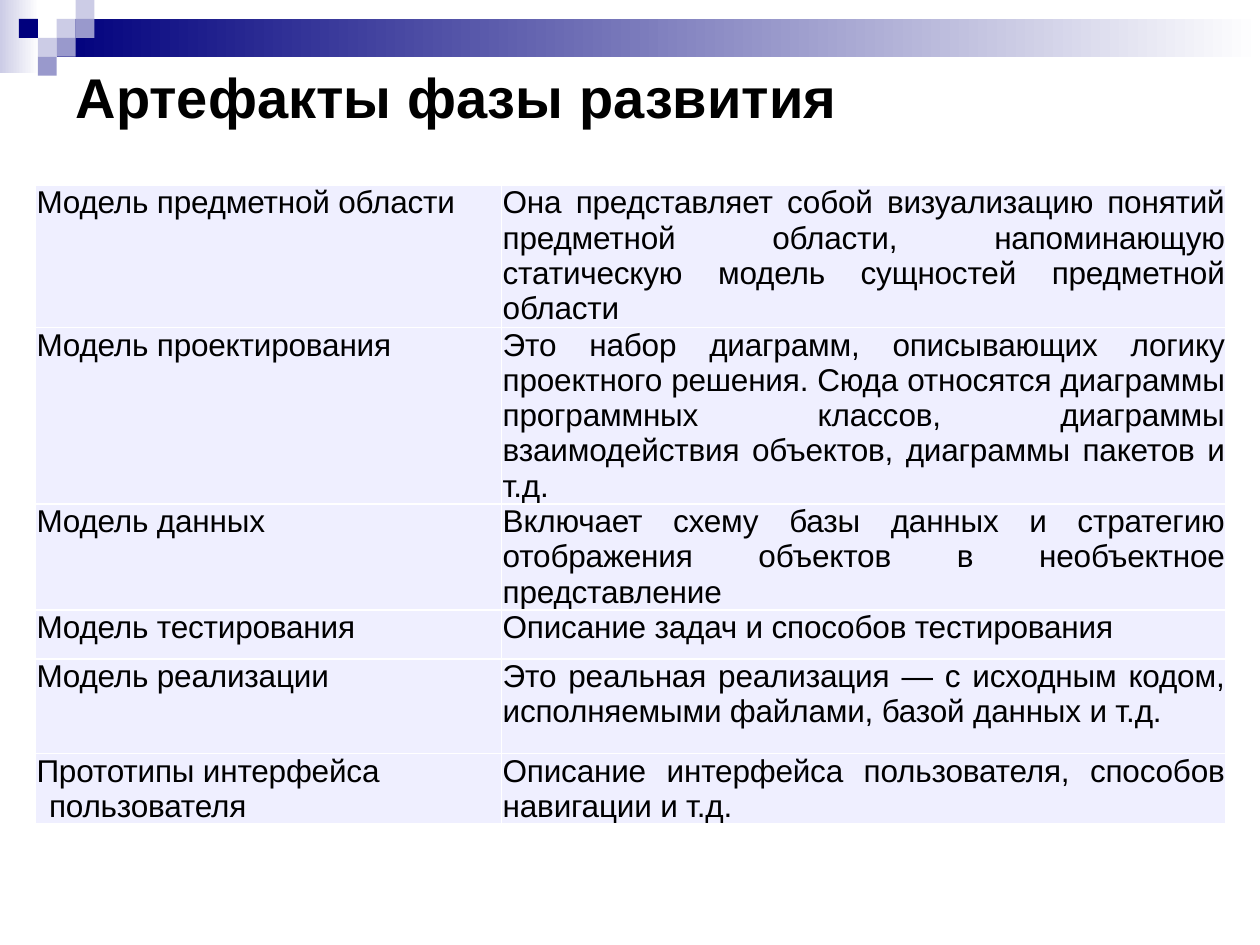
from lxml.etree import SubElement
from pptx import Presentation
from pptx.dml.color import RGBColor
from pptx.enum.shapes import MSO_SHAPE as Shape
from pptx.enum.text import MSO_ANCHOR as Anchor, MSO_AUTO_SIZE as AutoSize, PP_ALIGN as Align
from pptx.oxml.ns import qn
from pptx.util import Inches, Pt

COLORS = {
    "navy": "00007D", "violet": "9999CC", "lavender": "CCCCE6",
    "cell": "EFEFFF", "white": "FFFFFF", "black": "000000",
}
TITLE = "Артефакты фазы развития"
# (artifact, description, row height)
ARTIFACTS = [
    ("Модель предметной области",
     "Она представляет собой визуализацию понятий предметной области, "
     "напоминающую статическую модель сущностей предметной области", 1.13),
    ("Модель проектирования",
     "Это набор диаграмм, описывающих логику проектного решения. Сюда относятся "
     "диаграммы программных классов, диаграммы взаимодействия объектов, "
     "диаграммы пакетов и т.д.", 1.11),
    ("Модель данных",
     "Включает схему базы данных и стратегию отображения объектов "
     "в необъектное представление", 0.74),
    ("Модель тестирования", "Описание задач и способов тестирования", 0.39),
    ("Модель реализации",
     "Это реальная реализация — с исходным кодом, исполняемыми файлами, "
     "базой данных и т.д.", 0.75),
    ("Прототипы интерфейса пользователя",
     "Описание интерфейса пользователя, способов навигации и т.д.", 0.41),
]
# (width, alignment, left margin)
COLUMNS = [(3.7, Align.LEFT, 0.1), (5.75, Align.JUSTIFY, 0)]
# (left, top, width, height, start color), each fading to white
BANDS = [(0, 0, 0.31, 0.58, "lavender"), (0.45, 0.15, 9.55, 0.3, "navy")]
# (column, row, color) on the square grid
SQUARES = [
    (3, 1, "lavender"), (4, 0, "lavender"), (4, 1, "violet"), (2, 2, "lavender"),
    (1, 1, "navy"), (3, 2, "violet"), (2, 3, "violet"),
]
SQUARE = 0.15


def rgb(name):
    return RGBColor.from_string(COLORS[name])


def add_block(slide, left, top, width, height, color, fade=False):
    shape = slide.shapes.add_shape(Shape.RECTANGLE, *map(Inches, (left, top, width, height)))
    shape.shadow.inherit = False
    shape.line.fill.background()
    if fade:
        shape.fill.gradient()
        shape.fill.gradient_angle = 0
        for stop, name in zip(shape.fill.gradient_stops, (color, "white")):
            stop.color.rgb = rgb(name)
    else:
        shape.fill.solid()
        shape.fill.fore_color.rgb = rgb(color)


def add_text(paragraph, text, size, bold=False):
    run = paragraph.add_run()
    run.text = text
    for name, value in {"name": "Arial", "size": Pt(size), "bold": bold}.items():
        setattr(run.font, name, value)
    run.font.color.rgb = rgb("black")
    return run


def format_cell(cell, text, alignment, margin):
    for side in ("left", "right"):
        setattr(cell, f"margin_{side}", Inches(0.01))
    cell.margin_top = cell.margin_bottom = 0
    properties = cell._tc.get_or_add_tcPr()
    for edge in ("a:lnL", "a:lnR", "a:lnT", "a:lnB"):
        line = SubElement(properties, qn(edge), w=str(Pt(1)))
        SubElement(SubElement(line, qn("a:solidFill")), qn("a:srgbClr"), val=COLORS["white"])
    cell.fill.solid()
    cell.fill.fore_color.rgb = rgb("cell")
    paragraph = cell.text_frame.paragraphs[0]
    paragraph.alignment = alignment
    indents = paragraph._p.get_or_add_pPr()
    indents.set("marL", str(Inches(margin)))
    indents.set("indent", str(Inches(-0.38)))
    run = add_text(paragraph, text, 18)
    run.font._element.set("spc", "-10")


def main():
    presentation = Presentation()
    presentation.slide_width, presentation.slide_height = Inches(10), Inches(7.5)
    slide = presentation.slides.add_slide(presentation.slide_layouts[5])

    # Header decoration
    for *box, color in BANDS:
        add_block(slide, *box, color, fade=True)
    for column, row, color in SQUARES:
        add_block(slide, column * SQUARE, row * SQUARE, SQUARE, SQUARE, color)

    # Title
    title = slide.shapes.title
    title.left, title.top, title.width, title.height = map(Inches, (0.5, 0.44, 9, 0.65))
    frame = title.text_frame
    settings = {"vertical_anchor": Anchor.MIDDLE, "auto_size": AutoSize.NONE, "word_wrap": True}
    for name, value in settings.items():
        setattr(frame, name, value)
    frame.paragraphs[0].alignment = Align.LEFT
    add_text(frame.paragraphs[0], TITLE, 32, bold=True)

    # Artifact table
    width = sum(column[0] for column in COLUMNS)
    height = sum(artifact[2] for artifact in ARTIFACTS)
    table = slide.shapes.add_table(len(ARTIFACTS), len(COLUMNS), Inches(0.28), Inches(1.47),
                                   Inches(width), Inches(height)).table
    table.first_row = table.horz_banding = False
    for index, (column_width, _, _) in enumerate(COLUMNS):
        table.columns[index].width = Inches(column_width)
    for row, (*texts, row_height) in zip(table.rows, ARTIFACTS):
        row.height = Inches(row_height)
        for cell, text, (_, alignment, margin) in zip(row.cells, texts, COLUMNS):
            format_cell(cell, text, alignment, margin)

    presentation.save("out.pptx")


if __name__ == "__main__":
    main()
